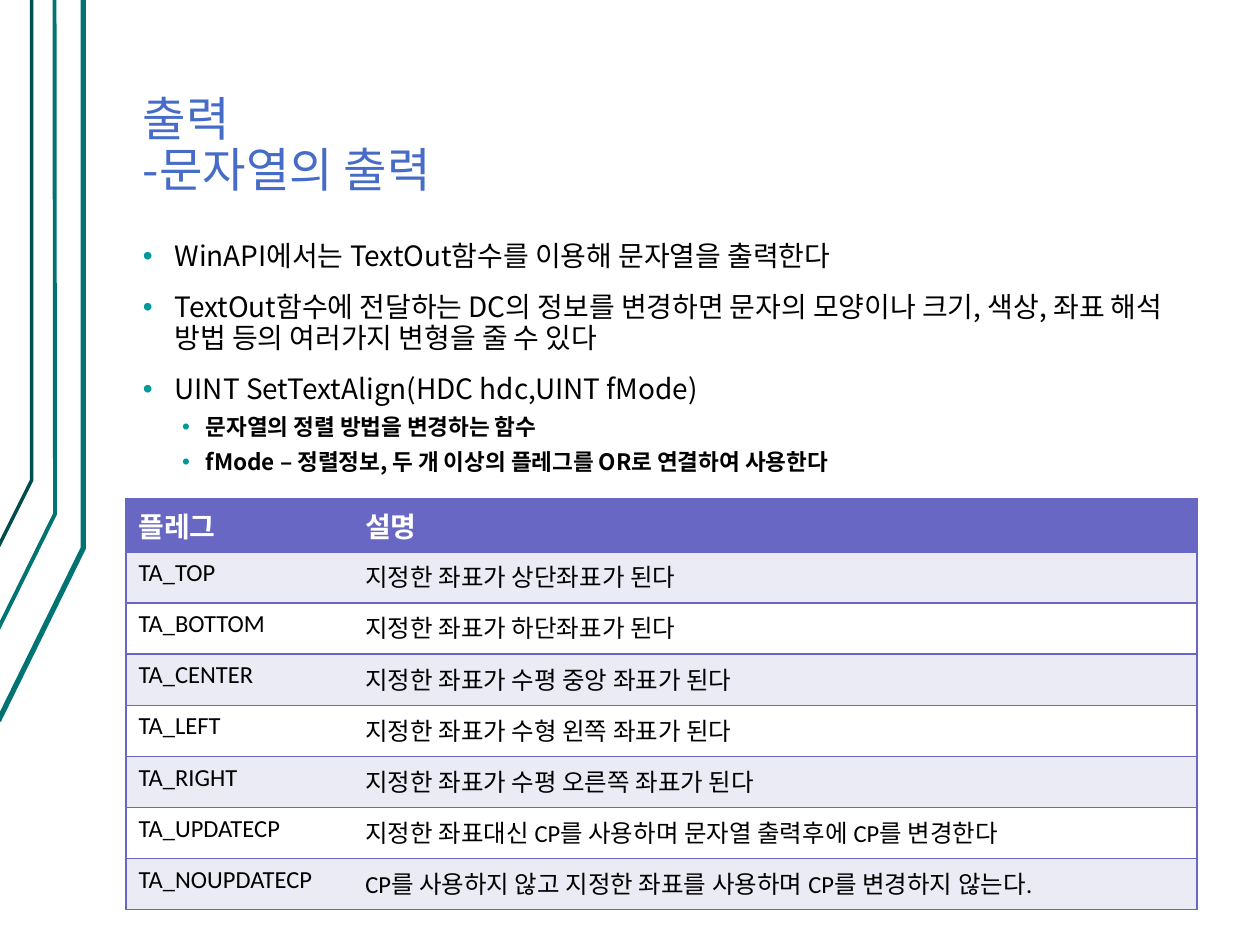
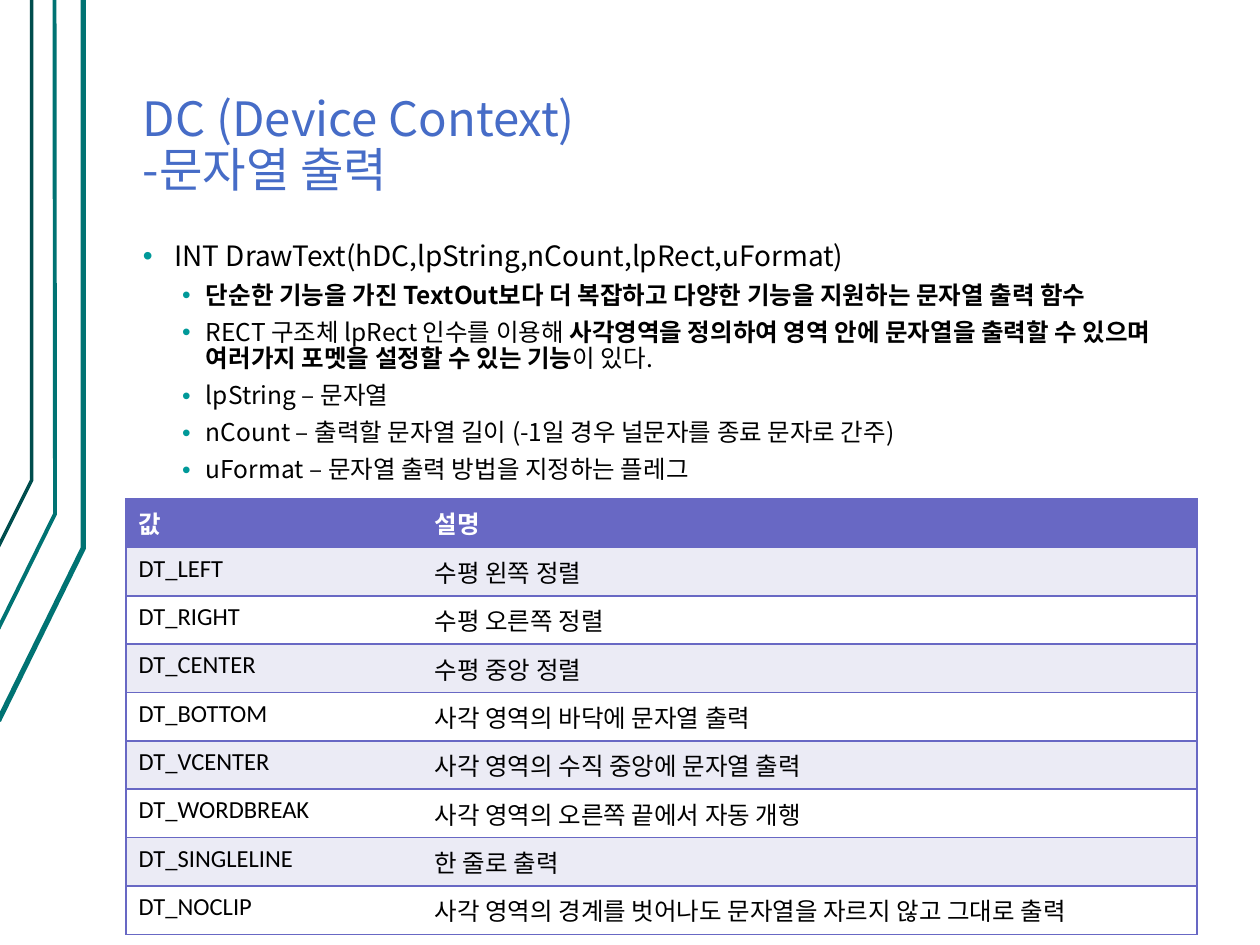
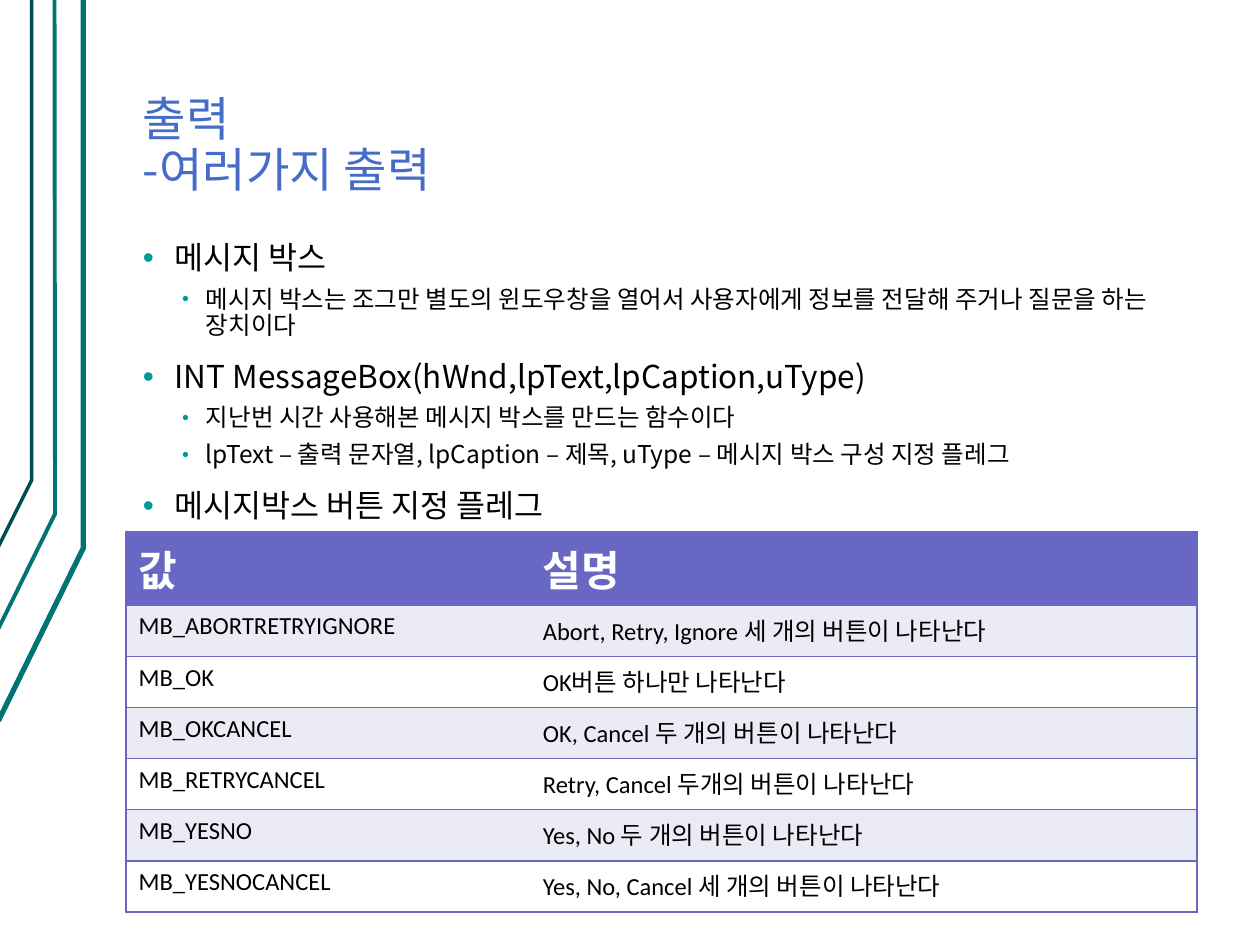
from lxml.etree import SubElement
from pptx import Presentation
from pptx.dml.color import RGBColor
from pptx.enum.text import MSO_ANCHOR, MSO_AUTO_SIZE, PP_ALIGN
from pptx.oxml import parse_xml
from pptx.oxml.ns import nsdecls, qn
from pptx.util import Cm, Pt

TEAL = RGBColor(0x00, 0x73, 0x73)
DARK_TEAL = RGBColor(0x00, 0x4D, 0x4D)
BULLET_TEAL = RGBColor(0x00, 0x99, 0x99)
TITLE_BLUE = RGBColor(0x46, 0x6C, 0xC7)
VIOLET = RGBColor(0x68, 0x68, 0xC4)
PALE_VIOLET = RGBColor(0xEB, 0xEB, 0xF5)
WHITE = RGBColor(0xFF, 0xFF, 0xFF)
BLACK = RGBColor(0x00, 0x00, 0x00)

KOREAN_FONT = "Noto Sans CJK KR"
TABLE_FONT = "Calibri"
TITLE_SIZE = 27
CELL_SIZE = 14
LINE_SPACING = 0.9
LEFT = Cm(2.54)
WIDTH = Cm(21.59)

# Left, hanging indent and space before of each list level
LEVELS = [(Cm(0.64), Cm(0.64), Pt(12)), (Cm(1.27), Cm(0.48), Pt(6))]

# Colour, width and corner points (cm) of the bent lines at the left edge
EDGE_LINES = [
    (TEAL, 3, [(-0.03, 14.53), (1.68, 11.05), (1.68, 0)]),
    (TEAL, 2.25, [(-0.03, 12.67), (1.11, 10.36), (1.1, 0)]),
    (DARK_TEAL, 2, [(-0.03, 11.02), (0.64, 9.68), (0.64, 0)]),
]

# Each list item is its level and its runs, a run being a text and its bold flag
SLIDES = [
    {
        "title": ["출력", "-문자열의 출력"],
        "list_width": WIDTH,
        "list_sizes": (16, 12.9),
        "bullet_percent": 100,
        "items": [
            (0, [("WinAPI에서는 TextOut함수를 이용해 문자열을 출력한다", False)]),
            (0, [("TextOut함수에 전달하는 DC의 정보를 변경하면 문자의 모양이나 크기, 색상, "
                  "좌표 해석 방법 등의 여러가지 변형을 줄 수 있다", False)]),
            (0, [("UINT SetTextAlign(HDC hdc,UINT fMode)", False)]),
            (1, [("문자열의 정렬 방법을 변경하는 함수", True)]),
            (1, [("fMode – 정렬정보, 두 개 이상의 플레그를 OR로 연결하여 사용한다", True)]),
        ],
        "table_top": Cm(10.06),
        "columns": (Cm(4.57), Cm(17.02)),
        "row_height": Cm(1.03),
        "header_size": 16,
        "rows": [
            ("플레그", "설명"),
            ("TA_TOP", "지정한 좌표가 상단좌표가 된다"),
            ("TA_BOTTOM", "지정한 좌표가 하단좌표가 된다"),
            ("TA_CENTER", "지정한 좌표가 수평 중앙 좌표가 된다"),
            ("TA_LEFT", "지정한 좌표가 수형 왼쪽 좌표가 된다"),
            ("TA_RIGHT", "지정한 좌표가 수평 오른쪽 좌표가 된다"),
            ("TA_UPDATECP", "지정한 좌표대신 CP를 사용하며 문자열 출력후에 CP를 변경한다"),
            ("TA_NOUPDATECP", "CP를 사용하지 않고 지정한 좌표를 사용하며 CP를 변경하지 않는다."),
        ],
    },
    {
        "title": ["DC (Device Context)", "-문자열 출력"],
        "list_width": Cm(22.35),
        "list_sizes": (16, 14),
        "bullet_percent": 100,
        "items": [
            (0, [("INT DrawText(hDC,lpString,nCount,lpRect,uFormat)", False)]),
            (1, [("단순한 기능을 가진 TextOut보다 더 복잡하고 다양한 기능을 지원하는 "
                  "문자열 출력 함수", True)]),
            (1, [("RECT 구조체 lpRect 인수를 이용해 ", False),
                 ("사각영역을 정의하여 영역 안에 문자열을 출력할 수 있으며 "
                  "여러가지 포멧을 설정할 수 있는 기능", True),
                 ("이 있다.", False)]),
            (1, [("lpString – 문자열", False)]),
            (1, [("nCount – 출력할 문자열 길이 (-1일 경우 널문자를 종료 문자로 간주)", False)]),
            (1, [("uFormat – 문자열 출력 방법을 지정하는 플레그", False)]),
        ],
        "table_top": Cm(10.06),
        "columns": (Cm(5.97), Cm(15.62)),
        "row_height": Cm(0.91),
        "header_size": 14,
        "rows": [
            ("값", "설명"),
            ("DT_LEFT", "수평 왼쪽 정렬"),
            ("DT_RIGHT", "수평 오른쪽 정렬"),
            ("DT_CENTER", "수평 중앙 정렬"),
            ("DT_BOTTOM", "사각 영역의 바닥에 문자열 출력"),
            ("DT_VCENTER", "사각 영역의 수직 중앙에 문자열 출력"),
            ("DT_WORDBREAK", "사각 영역의 오른쪽 끝에서 자동 개행"),
            ("DT_SINGLELINE", "한 줄로 출력"),
            ("DT_NOCLIP", "사각 영역의 경계를 벗어나도 문자열을 자르지 않고 그대로 출력"),
        ],
    },
    {
        "title": ["출력", "-여러가지 출력"],
        "list_width": WIDTH,
        "list_sizes": (18, 14),
        "bullet_percent": 80,
        "items": [
            (0, [("메시지 박스", False)]),
            (1, [("메시지 박스는 조그만 별도의 윈도우창을 열어서 사용자에게 정보를 전달해 "
                  "주거나 질문을 하는 장치이다", False)]),
            (0, [("INT MessageBox(hWnd,lpText,lpCaption,uType)", False)]),
            (1, [("지난번 시간 사용해본 메시지 박스를 만드는 함수이다", False)]),
            (1, [("lpText – 출력 문자열, lpCaption – 제목, "
                  "uType – 메시지 박스 구성 지정 플레그", False)]),
            (0, [("메시지박스 버튼 지정 플레그", False)]),
        ],
        "table_top": Cm(10.72),
        "columns": (Cm(8.15), Cm(13.44)),
        "row_height": Cm(1.03),
        "header_size": 24,
        "rows": [
            ("값", "설명"),
            ("MB_ABORTRETRYIGNORE", "Abort, Retry, Ignore 세 개의 버튼이 나타난다"),
            ("MB_OK", "OK버튼 하나만 나타난다"),
            ("MB_OKCANCEL", "OK, Cancel 두 개의 버튼이 나타난다"),
            ("MB_RETRYCANCEL", "Retry, Cancel 두개의 버튼이 나타난다"),
            ("MB_YESNO", "Yes, No 두 개의 버튼이 나타난다"),
            ("MB_YESNOCANCEL", "Yes, No, Cancel 세 개의 버튼이 나타난다"),
        ],
    },
]


def add_run(paragraph, text, size, color, bold=False, latin_font=KOREAN_FONT):
    run = paragraph.add_run()
    run.text = text
    run.font.size = Pt(size)
    run.font.bold = bold
    run.font.color.rgb = color
    run.font.name = latin_font
    latin = run._r.rPr.find(qn("a:latin"))
    latin.addnext(parse_xml(f'<a:ea {nsdecls("a")} typeface="{KOREAN_FONT}"/>'))


def place(placeholder, top, width, height, anchor):
    """Move a text placeholder and give it the shared insets."""
    placeholder.left, placeholder.top = LEFT, top
    placeholder.width, placeholder.height = width, height
    frame = placeholder.text_frame
    frame.word_wrap = True
    frame.auto_size = MSO_AUTO_SIZE.NONE
    frame.vertical_anchor = anchor
    frame.margin_left = frame.margin_right = Cm(0.34)
    frame.margin_top = frame.margin_bottom = Cm(0.17)
    return frame


presentation = Presentation()
presentation.slide_width = Cm(25.4)
presentation.slide_height = Cm(19.05)
layout = presentation.slide_layouts[1]
slides = [presentation.slides.add_slide(layout) for _ in SLIDES]

# Freeforms can only be built on a slide, so they are moved to the shared layout
for position, (color, width, points) in enumerate(EDGE_LINES):
    corners = [(Cm(x), Cm(y)) for x, y in points]
    builder = slides[0].shapes.build_freeform(*corners[0])
    builder.add_line_segments(corners[1:], close=False)
    edge_line = builder.convert_to_shape()
    edge_line.name = f"Edge line {position + 1}"
    edge_line.shadow.inherit = False
    edge_line.fill.background()
    edge_line.line.color.rgb = color
    edge_line.line.width = Pt(width)
    layout.shapes._spTree.insert(2 + position, edge_line._element)

for slide, content in zip(slides, SLIDES):
    # Title
    frame = place(slide.shapes.title, Cm(0.76), WIDTH, Cm(3.4), MSO_ANCHOR.BOTTOM)
    paragraph = frame.paragraphs[0]
    paragraph.alignment = PP_ALIGN.LEFT
    paragraph.line_spacing = LINE_SPACING
    first_line, second_line = content["title"]
    add_run(paragraph, first_line, TITLE_SIZE, TITLE_BLUE)
    paragraph.add_line_break()
    line_break = paragraph._p.find(qn("a:br"))
    SubElement(line_break, qn("a:rPr"), sz=str(TITLE_SIZE * 100))
    add_run(paragraph, second_line, TITLE_SIZE, TITLE_BLUE)

    # List
    frame = place(slide.placeholders[1], Cm(4.72), content["list_width"], Cm(12.4),
                  MSO_ANCHOR.TOP)
    for index, (level, runs) in enumerate(content["items"]):
        paragraph = frame.add_paragraph() if index else frame.paragraphs[0]
        left, hanging, space_before = LEVELS[level]
        paragraph.level = level
        properties = paragraph._p.get_or_add_pPr()
        properties.set("marL", str(left))
        properties.set("indent", str(-hanging))
        bullet_color = SubElement(properties, qn("a:buClr"))
        SubElement(bullet_color, qn("a:srgbClr"), val=str(BULLET_TEAL))
        percent = content["bullet_percent"] if level else 100
        SubElement(properties, qn("a:buSzPct"), val=str(percent * 1000))
        SubElement(properties, qn("a:buChar"), char="•")
        paragraph.line_spacing = LINE_SPACING
        paragraph.space_before = space_before if index else Pt(0)
        for text, bold in runs:
            add_run(paragraph, text, content["list_sizes"][level], BLACK, bold)

    # Table
    rows = content["rows"]
    table = slide.shapes.add_table(
        len(rows), 2, LEFT, content["table_top"], WIDTH, content["row_height"] * len(rows)
    ).table
    for column, width in zip(table.columns, content["columns"]):
        column.width = width
    for row_index, row in enumerate(rows):
        table.rows[row_index].height = content["row_height"]
        is_header = row_index == 0
        if is_header:
            fill_color = VIOLET
        else:
            fill_color = PALE_VIOLET if row_index % 2 else WHITE
        for column_index, text in enumerate(row):
            cell = table.cell(row_index, column_index)
            cell.fill.solid()
            cell.fill.fore_color.rgb = fill_color
            add_run(cell.text_frame.paragraphs[0], text,
                    content["header_size"] if is_header else CELL_SIZE,
                    WHITE if is_header else BLACK, is_header, TABLE_FONT)
            inner_edge = "R" if column_index == 0 else "L"
            for position, edge in enumerate("LRTB"):
                if edge == inner_edge:
                    paint = "<a:noFill/>"
                else:
                    paint = f'<a:solidFill><a:srgbClr val="{VIOLET}"/></a:solidFill>'
                border = parse_xml(
                    f'<a:ln{edge} {nsdecls("a")} w="{Pt(1)}">{paint}</a:ln{edge}>')
                cell._tc.get_or_add_tcPr().insert(position, border)

presentation.save("out.pptx")
